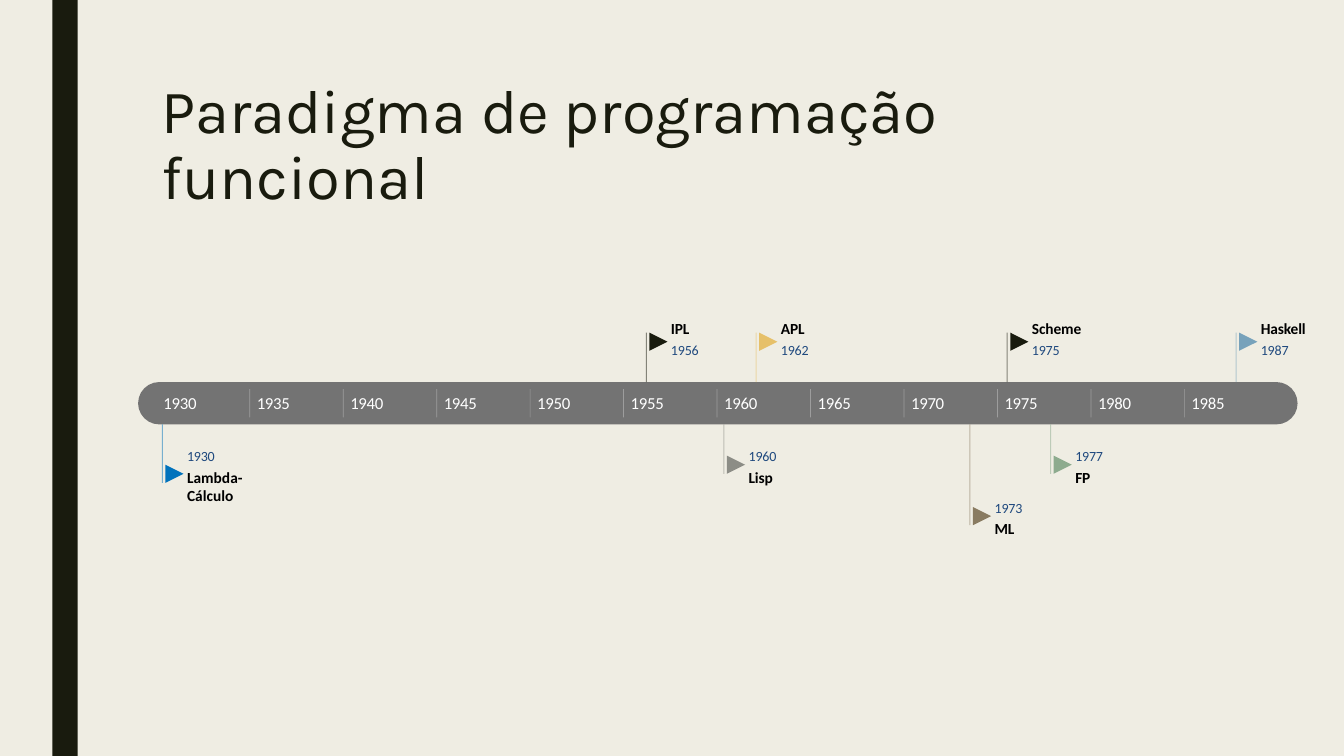
from lxml import etree
from pptx import Presentation
from pptx.dml.color import RGBColor
from pptx.enum.shapes import MSO_CONNECTOR, MSO_SHAPE
from pptx.enum.text import MSO_ANCHOR, MSO_AUTO_SIZE, PP_ALIGN
from pptx.oxml.ns import qn
from pptx.util import Inches, Pt

RECT, ROUND = MSO_SHAPE.RECTANGLE, MSO_SHAPE.ROUNDED_RECTANGLE
MERGE, LINE = MSO_SHAPE.FLOWCHART_MERGE, MSO_CONNECTOR.STRAIGHT
TOP, MIDDLE = MSO_ANCHOR.TOP, MSO_ANCHOR.MIDDLE
LEFT, FIXED = PP_ALIGN.LEFT, MSO_AUTO_SIZE.NONE

CREAM = RGBColor(0xEF, 0xED, 0xE3)
INK = RGBColor(0x19, 0x1B, 0x0E)
GRAY = RGBColor(0x73, 0x73, 0x73)
WHITE = RGBColor(0xFF, 0xFF, 0xFF)
BLACK = RGBColor(0, 0, 0)
NAVY = RGBColor(0x1F, 0x49, 0x7E)
GOLD = RGBColor(0xE6, 0xC0, 0x69)
SKY = RGBColor(0x77, 0xA2, 0xBB)
BLUE = RGBColor(0x00, 0x72, 0xBC)
STONE = RGBColor(0x8C, 0x8D, 0x86)
BROWN = RGBColor(0x89, 0x7B, 0x61)
SAGE = RGBColor(0x8D, 0xAB, 0x8E)

# Grid of tenth-inch cells
CELL = Inches(0.1)
BAND_TOP, BAND_HIGH = 37.9, 4.2
BAND_END = BAND_TOP + BAND_HIGH
FIRST, STEP = 15.5, 9.27  # column of 1930, columns per five years
FLAG = 1.8

# Name, year, column, colour
ABOVE = [
    ("IPL", 1956, 64.1, INK),
    ("APL", 1962, 75, GOLD),
    ("Scheme", 1975, 99.9, INK),
    ("Haskell", 1987, 122.6, SKY),
]
# Name, year, column, colour, row of the year, text lines
BELOW = [
    ("Lambda-Cálculo", 1930, 16.1, BLUE, 44.4, 2),
    ("Lisp", 1960, 71.8, STONE, 44.4, 1),
    ("ML", 1973, 96.2, BROWN, 49.5, 1),
    ("FP", 1977, 104.2, SAGE, 44.4, 1),
]


def grid(*cells):
    return [round(n * CELL) for n in cells]


def write(frame, text, size=12, color=WHITE, font="Calibri", bold=False,
          anchor=MIDDLE, inset=(0, 0), track=0, lead=None):
    frame.word_wrap = True
    frame.auto_size = FIXED
    frame.vertical_anchor = anchor
    frame.margin_left = frame.margin_right = Inches(inset[0])
    frame.margin_top = frame.margin_bottom = Inches(inset[1])
    para = frame.paragraphs[0]
    para.alignment = LEFT
    para.line_spacing = lead
    run = para.add_run()
    run.text = text
    run.font.size = Pt(size)
    run.font.name = font
    run.font.bold = bold
    run.font.color.rgb = color
    if track:
        run.font._element.set("spc", str(track))


def label(slide, text, x, y, w, h, **style):
    box = slide.shapes.add_textbox(*grid(x, y, w, h))
    write(box.text_frame, text, **style)


def shape(slide, kind, x, y, w, h, color):
    item = slide.shapes.add_shape(kind, *grid(x, y, w, h))
    item.shadow.inherit = False
    item.fill.solid()
    item.fill.fore_color.rgb = color
    item.line.fill.background()
    return item


def stem(slide, x, y1, y2, color, width, alpha):
    line = slide.shapes.add_connector(LINE, *grid(x, y1, x, y2))
    line.line.color.rgb = color
    line.line.width = Pt(width)
    props = line._element.spPr
    tint = props.find(".//" + qn("a:srgbClr"))
    etree.SubElement(tint, qn("a:alpha")).set("val", str(alpha * 1000))
    etree.SubElement(props, qn("a:effectLst"))


def flag(slide, name, year, x, y, color, name_row, year_row, lines=1):
    shape(slide, MERGE, x + 0.3, y, FLAG, FLAG, color).rotation = 270
    label(slide, name, x + 2.45, name_row, 6, 1.85 * lines,
          size=11, color=BLACK, bold=True, track=-10 if lines == 1 else 0)
    label(slide, str(year), x + 2.45, year_row, 6, 1.7,
          size=10, color=NAVY, track=-10)


def band(slide):
    shape(slide, ROUND, 13.7, BAND_TOP, 115, BAND_HIGH, GRAY).adjustments[0] = 0.5
    for i, year in enumerate(range(1930, 1990, 5)):
        x = FIRST + i * STEP
        if i:
            stem(slide, x, BAND_TOP + 0.7, BAND_END - 0.7, WHITE, 0.5, 30)
        label(slide, str(year), x + 0.7, 39, 3.5, 2, track=-20)


def main():
    deck = Presentation()
    deck.slide_width, deck.slide_height = Inches(13.33), Inches(7.5)
    slide = deck.slides.add_slide(deck.slide_layouts[5])

    # Backdrop and side stripe
    slide.background.fill.solid()
    slide.background.fill.fore_color.rgb = CREAM
    shape(slide, RECT, 5.2, 0, 2.5, 75, INK)

    # Title
    title = slide.shapes.title
    title.left, title.top, title.width, title.height = grid(15, 7.5, 105, 16.2)
    write(title.text_frame, "Paradigma de programação funcional", size=44,
          color=INK, font="Karla", anchor=TOP, inset=(0.1, 0.05), lead=0.89)

    # Time band
    band(slide)

    # Flags above the band
    for name, year, x, color in ABOVE:
        stem(slide, x, 33, BAND_TOP, color, 0.75, 50)
        flag(slide, name, year, x, 33, color, 31.7, 33.9)

    # Flags below the band
    for name, year, x, color, row, lines in BELOW:
        tip = row + 1.7 + 0.9 * lines
        stem(slide, x, BAND_END, tip, color, 0.75, 50)
        flag(slide, name, year, x, tip - FLAG, color, row + 2, row, lines)

    deck.save("out.pptx")


if __name__ == "__main__":
    main()
